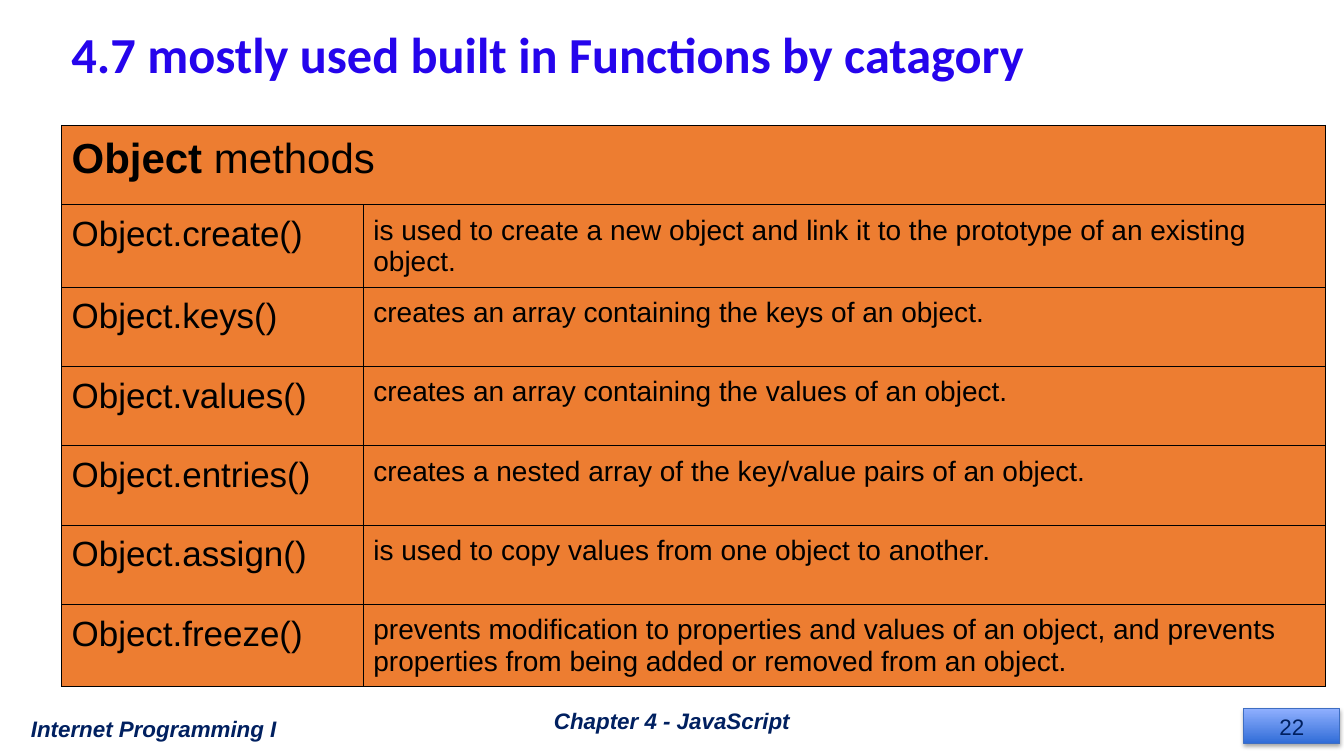
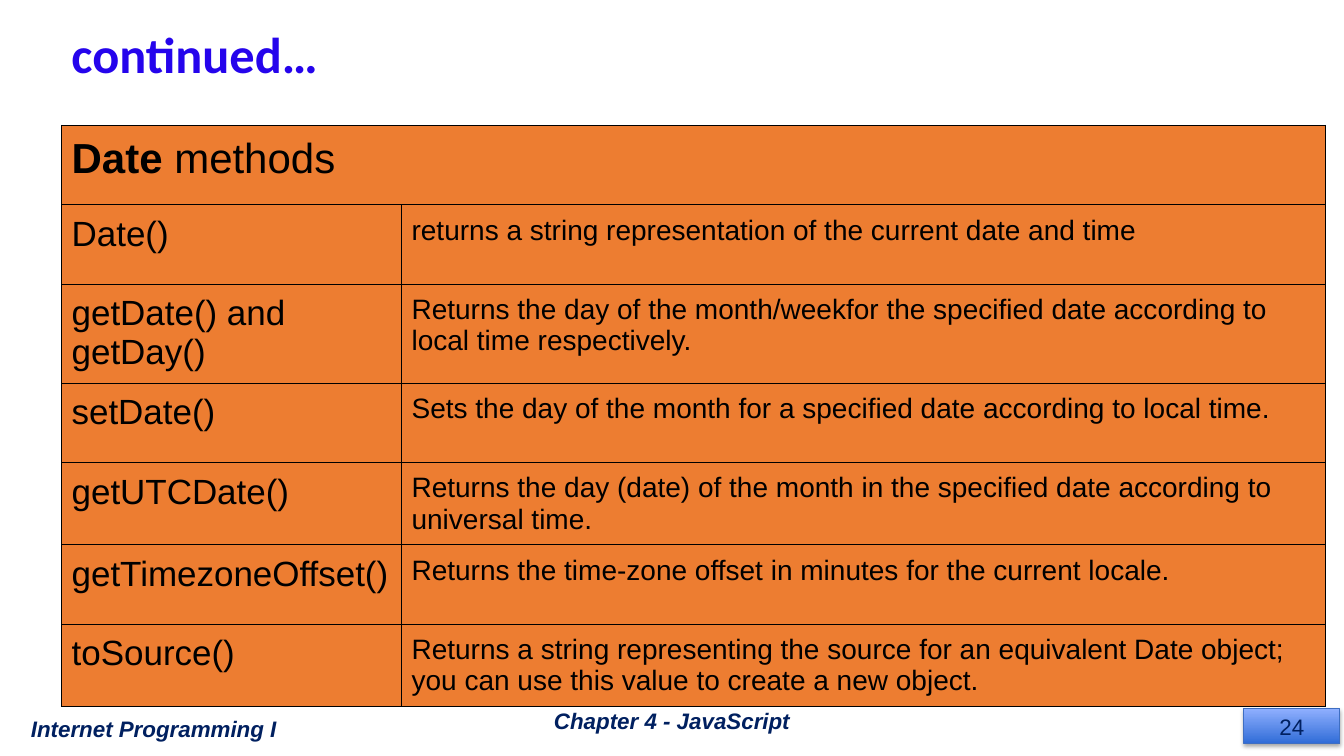
import pptx
import pptx.dml.color
import pptx.enum.shapes
import pptx.enum.text
import pptx.oxml
import pptx.oxml.ns
import pptx.util

Pt = pptx.util.Pt
RGBColor = pptx.dml.color.RGBColor
ALIGN = pptx.enum.text.PP_ALIGN
ANCHOR = pptx.enum.text.MSO_ANCHOR

TITLE_BLUE = RGBColor(0x25, 0x04, 0xEC)
NAVY = RGBColor(0x00, 0x20, 0x60)
BLACK = RGBColor(0x00, 0x00, 0x00)
ORANGE = RGBColor(0xED, 0x7D, 0x31)
BADGE_DARK = RGBColor(0x30, 0x6C, 0xD7)
BADGE_LIGHT = RGBColor(0x90, 0xB0, 0xFF)
BADGE_LINE = RGBColor(0x3E, 0x6E, 0xC2)

TABLE_LEFT, TABLE_TOP, TABLE_WIDTH = 44, 89.5, 903
ROW_HEIGHT = 56.7
NAMESPACE = pptx.oxml.ns.nsdecls("a")
BORDER_XML = (
    '<a:{side} {namespace} w="{width}"><a:solidFill><a:srgbClr val="{color}"/>'
    "</a:solidFill></a:{side}>"
)
SHADOW_XML = (
    f'<a:effectLst {NAMESPACE}><a:outerShdw blurRad="{Pt(3.1)}" dist="{Pt(1.8)}" '
    'dir="5400000" rotWithShape="0"><a:srgbClr val="000000"><a:alpha val="34000"/>'
    "</a:srgbClr></a:outerShdw></a:effectLst>"
)

FOOTERS = [
    ("Internet Programming I", (15, 506, 216, 29), ALIGN.LEFT),
    ("Chapter 4 - JavaScript", (318, 500.5, 324, 29), ALIGN.CENTER),
]

SLIDES = [
    {
        "title": "4.7 mostly used built in Functions by catagory",
        "number": "22",
        "subject": "Object",
        "name_width": 215.5,
        "methods": [
            ("Object.create()", "is used to create a new object and link it to the prototype of an existing object."),
            ("Object.keys()", "creates an array containing the keys of an object."),
            ("Object.values()", "creates an array containing the values of an object."),
            ("Object.entries()", "creates a nested array of the key/value pairs of an object."),
            ("Object.assign()", "is used to copy values from one object to another."),
            ("Object.freeze()", "prevents modification to properties and values of an object, and prevents properties from being added or removed from an object."),
        ],
    },
    {
        "title": "continued…",
        "number": "24",
        "subject": "Date",
        "name_width": 242.8,
        "methods": [
            ("Date()", "returns a string representation of the current date and time"),
            ("getDate() and getDay()", "Returns the day of the month/weekfor the specified date according to local time respectively."),
            ("setDate()", "Sets the day of the month for a specified date according to local time."),
            ("getUTCDate()", "Returns the day (date) of the month in the specified date according to universal time."),
            ("getTimezoneOffset()", "Returns the time-zone offset in minutes for the current locale."),
            ("toSource()", "Returns a string representing the source for an equivalent Date object; you can use this value to create a new object."),
        ],
    },
]


def write_text(frame, text, size, color, font="Arial", bold=False, italic=False,
               align=ALIGN.LEFT, anchor=ANCHOR.MIDDLE, line_spacing=None):
    frame.word_wrap = True
    frame.vertical_anchor = anchor
    paragraph = frame.paragraphs[0]
    paragraph.alignment = align
    paragraph.line_spacing = line_spacing
    run = paragraph.add_run()
    run.text = text
    run.font.name = font
    run.font.size = Pt(size)
    run.font.bold = bold
    run.font.italic = italic
    run.font.color.rgb = color


def format_cell(cell):
    cell.margin_left = cell.margin_right = cell.margin_top = Pt(7.2)
    cell.margin_bottom = Pt(3.6)
    properties = cell._tc.get_or_add_tcPr()
    for side in ("lnL", "lnR", "lnT", "lnB"):
        properties.append(pptx.oxml.parse_xml(BORDER_XML.format(
            side=side, namespace=NAMESPACE, width=Pt(0.75), color=BLACK)))
    cell.fill.solid()
    cell.fill.fore_color.rgb = ORANGE


presentation = pptx.Presentation()
presentation.slide_width = Pt(960)
presentation.slide_height = Pt(540)

for content in SLIDES:
    slide = presentation.slides.add_slide(presentation.slide_layouts[6])

    badge = slide.shapes.add_shape(
        pptx.enum.shapes.MSO_SHAPE.RECTANGLE, Pt(888.5), Pt(506), Pt(68.5), Pt(25.2))
    badge.fill.gradient()
    badge.fill.gradient_angle = 90
    for stop, color in zip(badge.fill.gradient_stops, (BADGE_DARK, BADGE_LIGHT)):
        stop.color.rgb = color
    badge.line.color.rgb = BADGE_LINE
    badge.line.width = Pt(0.75)
    badge._element.spPr.append(pptx.oxml.parse_xml(SHADOW_XML))
    write_text(badge.text_frame, content["number"], size=16, color=NAVY, align=ALIGN.CENTER)

    title = slide.shapes.add_textbox(Pt(44), Pt(9.5), Pt(828), Pt(62.5))
    write_text(title.text_frame, content["title"], size=36, color=TITLE_BLUE,
               font="Calibri", bold=True, line_spacing=0.9)

    for text, box, align in FOOTERS:
        footer = slide.shapes.add_textbox(*map(Pt, box))
        write_text(footer.text_frame, text, size=16, color=NAVY,
                   bold=True, italic=True, align=align)

    row_count = len(content["methods"]) + 1
    table = slide.shapes.add_table(
        row_count, 2, Pt(TABLE_LEFT), Pt(TABLE_TOP),
        Pt(TABLE_WIDTH), Pt(ROW_HEIGHT * row_count)).table
    table.columns[0].width = Pt(content["name_width"])
    table.columns[1].width = Pt(TABLE_WIDTH - content["name_width"])
    for row in table.rows:
        row.height = Pt(ROW_HEIGHT)
        for cell in row.cells:
            format_cell(cell)

    heading = table.cell(0, 0)
    heading.merge(table.cell(0, 1))
    for text, bold in ((content["subject"], True), (" methods", False)):
        write_text(heading.text_frame, text, size=30, color=BLACK, bold=bold, anchor=ANCHOR.TOP)

    for row_index, method in enumerate(content["methods"], start=1):
        for column_index, (text, size) in enumerate(zip(method, (25, 20))):
            write_text(table.cell(row_index, column_index).text_frame, text,
                       size=size, color=BLACK, anchor=ANCHOR.TOP)

presentation.save("out.pptx")
